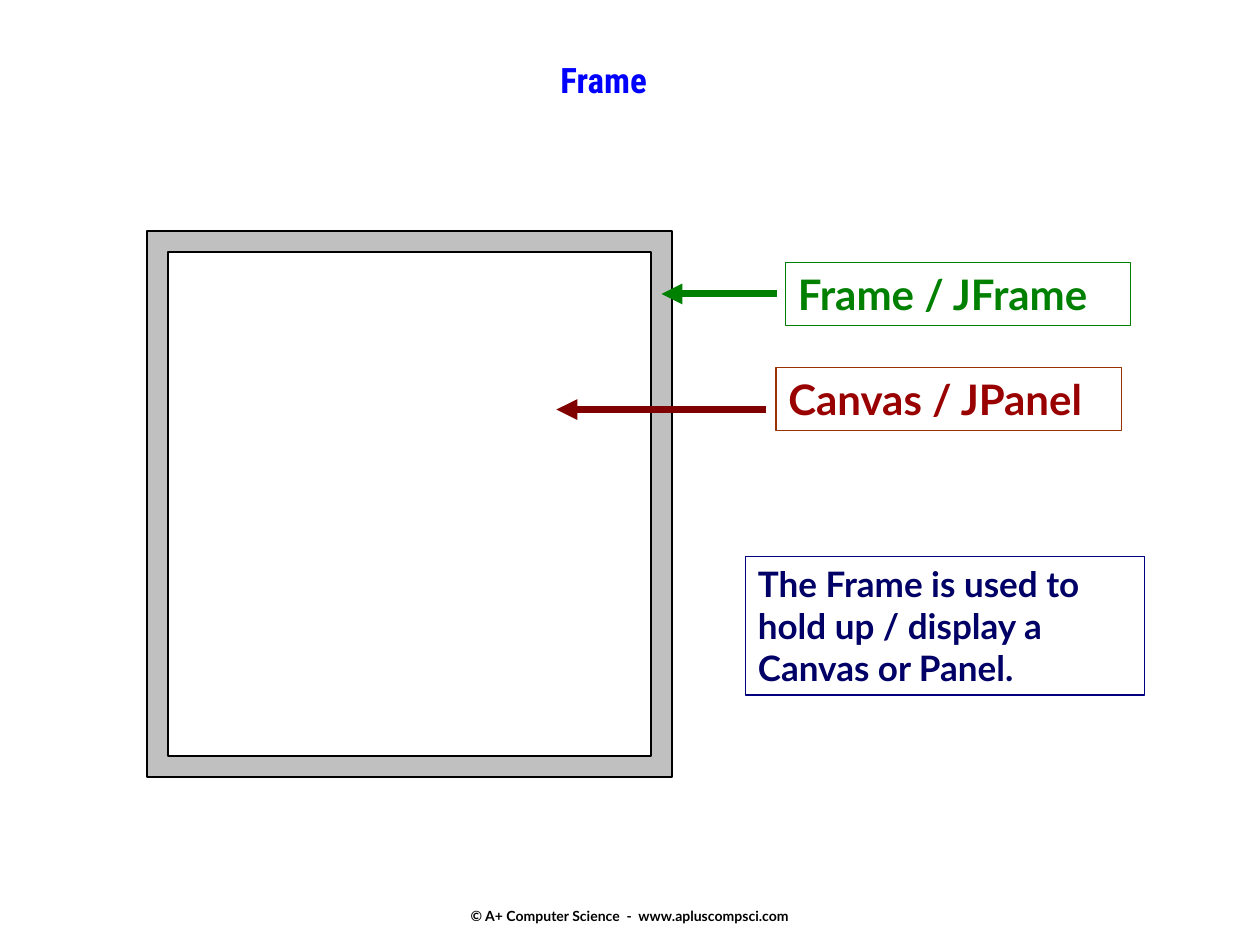
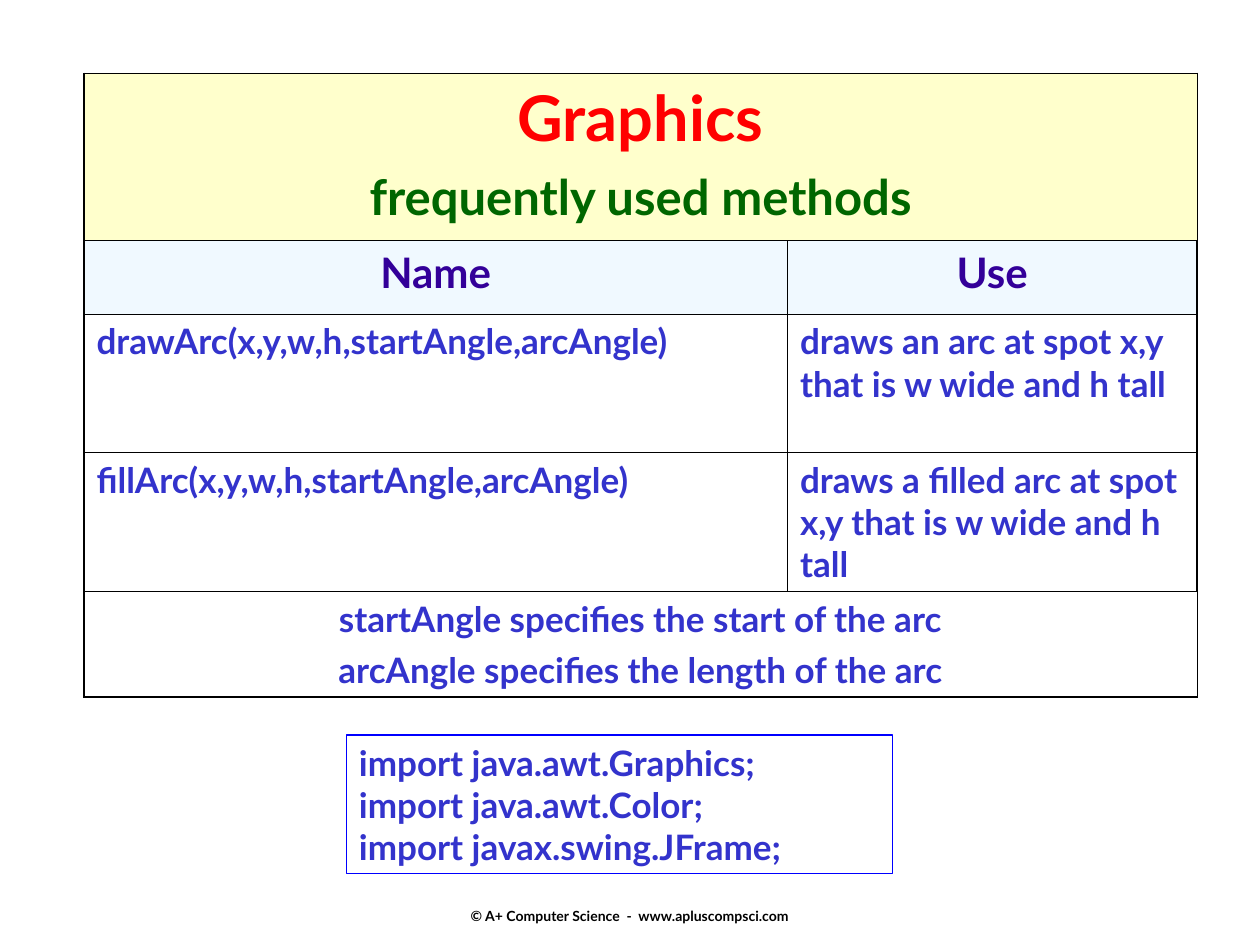
from lxml.etree import SubElement
from pptx import Presentation
from pptx.dml.color import RGBColor
from pptx.enum.shapes import MSO_CONNECTOR, MSO_SHAPE
from pptx.enum.text import MSO_ANCHOR, PP_ALIGN
from pptx.oxml.ns import qn
from pptx.util import Inches, Pt

BLACK = RGBColor(0x00, 0x00, 0x00)
WHITE = RGBColor(0xFF, 0xFF, 0xFF)
SILVER = RGBColor(0xC0, 0xC0, 0xC0)
BLUE = RGBColor(0x00, 0x00, 0xFF)
NAVY = RGBColor(0x00, 0x00, 0x80)
DEEP_NAVY = RGBColor(0x00, 0x00, 0x66)
GREEN = RGBColor(0x00, 0x80, 0x00)
DARK_GREEN = RGBColor(0x00, 0x66, 0x00)
RED = RGBColor(0xFF, 0x00, 0x00)
CRIMSON = RGBColor(0x99, 0x00, 0x00)
MAROON = RGBColor(0x80, 0x00, 0x00)
RUST = RGBColor(0x99, 0x33, 0x00)
PURPLE = RGBColor(0x33, 0x00, 0x99)
INDIGO = RGBColor(0x33, 0x33, 0xCC)
CREAM = RGBColor(0xFF, 0xFF, 0xCC)
PALE_BLUE = RGBColor(0xF0, 0xF9, 0xFF)

BODY_FONT = "Lato"
TITLE_FONT = "Roboto Condensed"
FOOTER = "© A+ Computer Science  -  www.apluscompsci.com"
SLIDE_WIDTH, SLIDE_HEIGHT = Inches(10), Inches(7.5)
GRID_COLUMNS = 120
UNIT = SLIDE_WIDTH / GRID_COLUMNS
OUTER_BORDER, INNER_BORDER = 1.08, 0.45


def grid(*counts):
    """Turn counts of grid columns or rows into lengths."""
    return [round(count * UNIT) for count in counts]


def write(frame, lines, styles, align=PP_ALIGN.LEFT, gap=0, font=BODY_FONT):
    """Fill a text frame with bold lines, each styled by (size, colour)."""
    frame.word_wrap = True
    frame.text = "\n".join(lines)
    for index, (para, (size, colour)) in enumerate(zip(frame.paragraphs, styles)):
        para.alignment = align
        para.space_before = Pt(gap if index else 0)
        for span in para.runs:
            span.font.name = font
            span.font.size = Pt(size)
            span.font.bold = True
            span.font.color.rgb = colour


def add_text(slide, place, text, size, colour, font=BODY_FONT):
    """Add a centred line of text without an outline."""
    box = slide.shapes.add_textbox(*grid(*place))
    write(box.text_frame, [text], [(size, colour)], PP_ALIGN.CENTER, font=font)
    return box


def add_panel(slide, place, line, fill=None, weight=0.75):
    """Add an outlined rectangle, filled if a colour is given."""
    panel = slide.shapes.add_shape(MSO_SHAPE.RECTANGLE, *grid(*place))
    panel.shadow.inherit = False
    panel.line.color.rgb = line
    panel.line.width = Pt(weight)
    if fill is None:
        panel.fill.background()
    else:
        panel.fill.solid()
        panel.fill.fore_color.rgb = fill
    return panel


def add_note(slide, place, lines, size, colour, line, weight=0.75):
    """Add an outlined box of left-aligned lines."""
    frame = add_panel(slide, place, line, weight=weight).text_frame
    frame.vertical_anchor = MSO_ANCHOR.TOP
    write(frame, lines, [(size, colour)] * len(lines))


def add_arrow(slide, start, end, row, colour):
    """Add a thick horizontal arrow along a grid row."""
    arrow = slide.shapes.add_connector(
        MSO_CONNECTOR.STRAIGHT, *grid(start, row, end, row))
    arrow.line.color.rgb = colour
    arrow.line.width = Pt(4)
    SubElement(arrow.line._get_or_add_ln(), qn("a:tailEnd"), type="triangle")
    SubElement(arrow._element.spPr, qn("a:effectLst"))


def set_border(cell, side, weight):
    """Draw one side of a cell in black."""
    properties = cell._tc.get_or_add_tcPr()
    line = SubElement(properties, qn(f"a:ln{side}"), w=str(Pt(weight)))
    fill = SubElement(line, qn("a:solidFill"))
    SubElement(fill, qn("a:srgbClr"), val=str(BLACK))


def frame_table(table):
    """Draw thick outer and thin inner borders."""
    last_row, last_column = len(table.rows) - 1, len(table.columns) - 1
    for row in range(last_row + 1):
        for column in range(last_column + 1):
            outer = {"L": column == 0, "R": column == last_column,
                     "T": row == 0, "B": row == last_row}
            for side, is_outer in outer.items():
                set_border(table.cell(row, column), side,
                           OUTER_BORDER if is_outer else INNER_BORDER)


def add_method_table(slide, left, top, widths, heights, rows):
    """Add a table; a row with one cell spans every column."""
    size = grid(left, top, sum(widths), sum(heights))
    table = slide.shapes.add_table(len(heights), len(widths), *size).table
    table.first_row = table.horz_banding = False
    for column, width in zip(table.columns, grid(*widths)):
        column.width = width
    for row, height in zip(table.rows, grid(*heights)):
        row.height = height
    frame_table(table)
    for index, (texts, styles, align, gap, fill) in enumerate(rows):
        if len(texts) == 1:
            table.cell(index, 0).merge(table.cell(index, len(widths) - 1))
        for column, lines in enumerate(texts):
            cell = table.cell(index, column)
            write(cell.text_frame, lines, styles, align, gap)
            cell.fill.solid()
            cell.fill.fore_color.rgb = fill


def add_slide(deck):
    """Add a blank slide with the shared footer."""
    slide = deck.slides.add_slide(deck.slide_layouts[6])
    footer = add_text(slide, (41, 82, 38, 6), FOOTER, 8, BLACK).text_frame
    footer.vertical_anchor = MSO_ANCHOR.BOTTOM
    footer.margin_bottom = 0
    return slide


def build_frame_slide(deck):
    """Show a frame around a canvas with labels."""
    slide = add_slide(deck)
    add_text(slide, (13, 5, 89, 10), "Frame", 20, BLUE, TITLE_FONT)
    add_panel(slide, (14, 22, 50, 52), BLACK, SILVER)
    add_panel(slide, (16, 24, 46, 48), BLACK, WHITE)
    add_note(slide, (74.8, 25, 32.9, 6), ["Frame / JFrame"], 24, GREEN, GREEN)
    add_note(slide, (73.9, 35, 32.9, 6), ["Canvas / JPanel"], 24, CRIMSON, RUST)
    add_arrow(slide, 74, 63, 28, GREEN)
    add_arrow(slide, 73, 53, 39, MAROON)
    add_note(slide, (71, 53, 38, 13.2),
             ["The Frame is used to hold up / display a Canvas or Panel."],
             20, DEEP_NAVY, NAVY)


def build_methods_slide(deck):
    """List the arc methods and the imports they need."""
    slide = add_slide(deck)
    center, left = PP_ALIGN.CENTER, PP_ALIGN.LEFT
    body = [(20, INDIGO)] * 2
    rows = [
        ([["Graphics", "frequently used methods"]],
         [(36, RED), (28, DARK_GREEN)], center, 7, CREAM),
        ([["Name"], ["Use"]], [(24, PURPLE)], center, 0, PALE_BLUE),
        ([["drawArc(x,y,w,h,startAngle,arcAngle)"],
          ["draws an arc at spot x,y that is w wide and h tall"]],
         body, left, 0, WHITE),
        ([["fillArc(x,y,w,h,startAngle,arcAngle)"],
          ["draws a filled arc at spot x,y that is w wide and h tall"]],
         body, left, 0, WHITE),
        ([["startAngle specifies the start of the arc",
           "arcAngle specifies the length of the arc"]],
         body, center, 5, WHITE),
    ]
    add_method_table(slide, 8, 7, (67, 39), (15.9, 7, 13.2, 13.2, 10.1), rows)
    add_note(slide, (33, 70, 52, 13.2),
             ["import java.awt.Graphics;", "import java.awt.Color;",
              "import javax.swing.JFrame;"], 20, INDIGO, BLUE, 1)


def main():
    """Build and save the deck."""
    deck = Presentation()
    deck.slide_width, deck.slide_height = SLIDE_WIDTH, SLIDE_HEIGHT
    build_frame_slide(deck)
    build_methods_slide(deck)
    deck.save("out.pptx")


if __name__ == "__main__":
    main()
